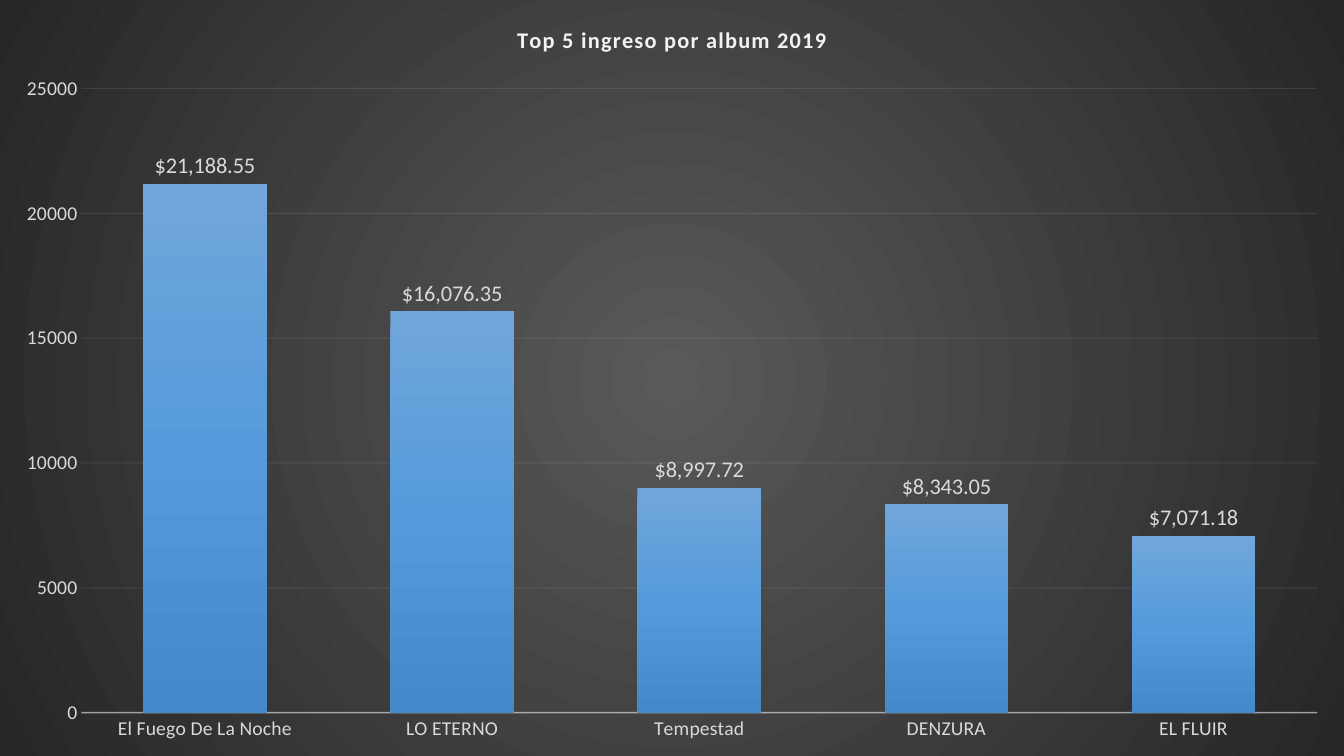
"""Build a slide with a column chart of the five top-earning albums of 2019."""
from lxml import etree
from pptx import Presentation, util as u
from pptx.chart.data import CategoryChartData
from pptx.dml.color import RGBColor
from pptx.enum import chart as ch
from pptx.oxml import parse_xml
from pptx.oxml.ns import nsdecls, qn

TITLE = "Top 5 ingreso por album 2019"
SERIES = "Series 1"
ALBUMS = [
    ("El Fuego De La Noche", 21188.55),
    ("LO ETERNO", 16076.35),
    ("Tempestad", 8997.72),
    ("DENZURA", 8343.05),
    ("EL FLUIR", 7071.18),
]
THEME = {
    "font": "Calibri",
    "title": "F2F2F2", "text": "D9D9D9", "line": "F2F2F2",
    "backdrop": [(0, "595959"), (100, "262626")],
    "bars": [(0, "71A6DB"), (50, "559BDB"), (100, "448ACA")],
    "title_size": 16, "label_size": 16, "axis_size": 14,
}
RADIAL = '<a:path path="circle"><a:fillToRect l="50000" t="50000" r="50000" b="50000"/></a:path>'
DOWNWARD = '<a:lin ang="5400000" scaled="0"/>'
WIDTH, HEIGHT = u.Pt(960), u.Pt(540)


def set_font(font, size, color, bold=False):
    font.name = THEME["font"]
    font.size = u.Pt(size)
    font.bold = bold
    font.color.rgb = RGBColor.from_string(color)


def set_line(line, width, opacity):
    line.width = u.Pt(width)
    line.color.rgb = RGBColor.from_string(THEME["line"])
    color = line.fill._xPr.find(".//" + qn("a:srgbClr"))
    etree.SubElement(color, qn("a:alpha")).set("val", str(opacity * 1000))


def gradient(stops, direction):
    marks = "".join(f'<a:gs pos="{pos * 1000}"><a:srgbClr val="{color}"/></a:gs>'
                    for pos, color in stops)
    return parse_xml(f'<a:gradFill {nsdecls("a")} rotWithShape="1">'
                     f'<a:gsLst>{marks}</a:gsLst>{direction}</a:gradFill>')


def style_axis(axis):
    axis.major_tick_mark = axis.minor_tick_mark = ch.XL_TICK_MARK.NONE
    set_font(axis.tick_labels.font, THEME["axis_size"], THEME["text"])


def add_title(chart):
    chart.has_title = True
    r = chart.chart_title.text_frame.paragraphs[0].add_run()
    r.text = TITLE
    set_font(r.font, THEME["title_size"], THEME["title"], bold=True)
    r.font._element.set("spc", "100")


def style_axes(chart):
    albums, income = chart.category_axis, chart.value_axis
    style_axis(albums)
    style_axis(income)
    albums.has_major_gridlines = False
    set_line(albums.format.line, 1, 54)
    income.minimum_scale, income.maximum_scale, income.major_unit = 0, 25000, 5000
    income.tick_labels.number_format = "General"
    income.tick_labels.number_format_is_linked = False
    income.format.line.fill.background()
    set_line(income.major_gridlines.format.line, 0.75, 10)


def style_columns(plot):
    plot.gap_width, plot.overlap = 100, -24
    plot.vary_by_categories = False
    bars = plot.series[0]
    bars.format.line.fill.background()
    bars._element.get_or_add_spPr().insert(0, gradient(THEME["bars"], DOWNWARD))
    labels = bars.data_labels
    labels.show_value = True
    labels.position = ch.XL_LABEL_POSITION.OUTSIDE_END
    labels.number_format = '"$"#,##0.00'
    labels.number_format_is_linked = False
    set_font(labels.font, THEME["label_size"], THEME["text"])


def style_backdrop(chart):
    area = parse_xml(f'<c:spPr {nsdecls("c", "a")}><a:ln><a:noFill/></a:ln></c:spPr>')
    area.insert(0, gradient(THEME["backdrop"], RADIAL))
    chart._chartSpace.find(qn("c:chart")).addnext(area)


def main():
    prs = Presentation()
    prs.slide_width, prs.slide_height = WIDTH, HEIGHT
    s = prs.slides.add_slide(prs.slide_layouts[6])
    data = CategoryChartData()
    data.categories = [album for album, _ in ALBUMS]
    data.add_series(SERIES, [income for _, income in ALBUMS])
    chart = s.shapes.add_chart(ch.XL_CHART_TYPE.COLUMN_CLUSTERED,
                               u.Pt(0), u.Pt(0), WIDTH, HEIGHT, data).chart
    set_font(chart.font, THEME["axis_size"], THEME["text"])
    chart.has_legend = False
    add_title(chart)
    style_axes(chart)
    style_columns(chart.plots[0])
    style_backdrop(chart)
    prs.save("out.pptx")


if __name__ == "__main__":
    main()
